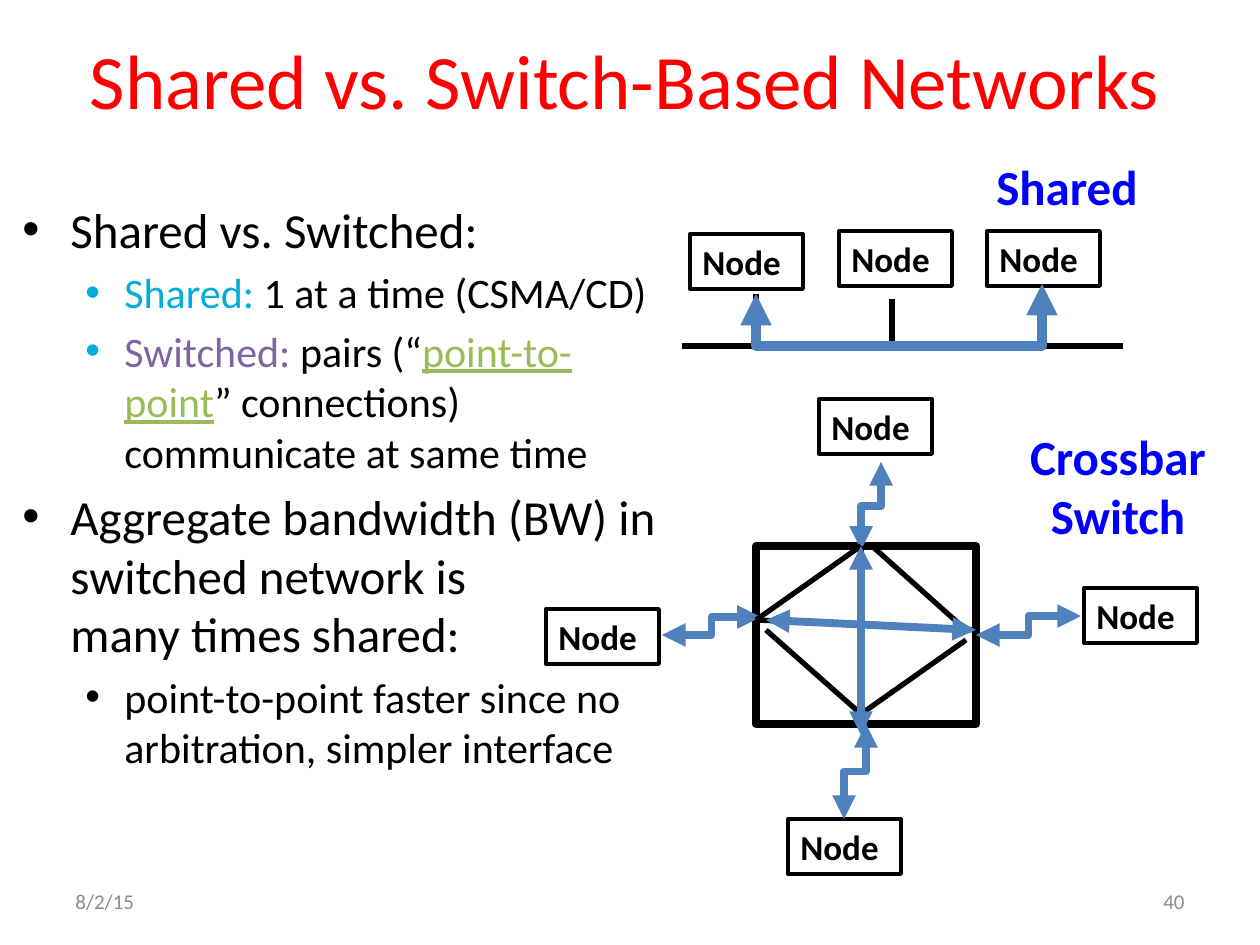
import pptx
import pptx.util
from pptx.dml.color import RGBColor
from pptx.enum.shapes import MSO_CONNECTOR, MSO_SHAPE
from pptx.enum.text import MSO_ANCHOR, MSO_AUTO_SIZE, PP_ALIGN
from pptx.oxml.ns import qn
from lxml import etree

THEME = {
    "font": "Calibri",
    "title": "FF0000", "label": "0000FF", "ink": "000000", "footer": "8C8C8C",
    "shared": "00ADDC", "switched": "8064A2", "link": "9BBB59", "arrow": "4F81BD",
    "title_size": 44, "label_size": 28, "node_size": 20, "footer_size": 12,
    "body_sizes": (28, 24),
    "node_line": 2.25, "wire": 3, "arrow_line": 4.5, "bus_arrow": 6,
}
SCALE = pptx.util.Inches(1) / 126

TITLE = "Shared vs. Switch-Based Networks"
BODY_BOX = (10, 193, 672, 626)
BODY = [
    (0, "ink", [("Shared vs. Switched:", "ink")]),
    (1, "shared", [("Shared: ", "shared"), ("1 at a time (CSMA/CD)", "ink")]),
    (1, "shared", [("Switched:", "switched"), (" pairs (“", "ink"),
                   ("point-to-point", "link"),
                   ("” connections) communicate at same time", "ink")]),
    (0, "ink", [("Aggregate bandwidth (BW) in switched network is\nmany times shared:", "ink")]),
    (1, "ink", [("point-to-point faster since no arbitration, simpler interface", "ink")]),
]
INDENTS = ((48, -48), (102, -39))

NODE_SIZE = (113, 55)
SHARED_NODES = [(690, 234), (839, 231), (987, 231)]
SWITCH_NODES = [(546, 609), (788, 819), (1084, 588), (819, 399)]
CROSSBAR = (756, 546, 220, 178)
BUS_WIRES = [(682, 346, 1123, 346), (1040, 294, 1040, 336),
             (892, 299, 892, 346), (756, 294, 756, 336)]
BUS_PATH = [(756, 294), (756, 346), (1042, 346), (1042, 284)]
SIDE_ELBOWS = [(1081, 616, 976, 635), (761, 617, 662, 635)]
UPRIGHT_ELBOWS = [(844, 819, 866, 724), (861, 550, 881, 462)]
SWITCH_WIRES = [(756, 620, 976, 630), (756, 620, 861, 546), (766, 630, 861, 714),
                (872, 546, 966, 630), (861, 714, 966, 640), (861, 546, 861, 714)]
SWITCH_ARROWS = [(766, 620, 976, 630), (861, 546, 861, 735)]
LABELS = [
    (["Shared"], (984, 150, 192, 72), "label", PP_ALIGN.LEFT, MSO_ANCHOR.TOP, True),
    (["Crossbar", "Switch"], (987, 420, 262, 131), "label", PP_ALIGN.CENTER, MSO_ANCHOR.TOP, True),
    (["8/2/15"], (63, 876, 294, 50), "footer", PP_ALIGN.LEFT, MSO_ANCHOR.MIDDLE, False),
    (["40"], (903, 876, 294, 50), "footer", PP_ALIGN.RIGHT, MSO_ANCHOR.MIDDLE, False),
]


def px(*lengths):
    return [round(length * SCALE) for length in lengths]


def colour(name):
    return RGBColor.from_string(THEME[name])


def style(font, size, name, bold=False):
    font.name = THEME["font"]
    font.size = pptx.util.Pt(size)
    font.bold = bold
    font.color.rgb = colour(name)


def draw_line(line, name, width, arrows=False):
    line.color.rgb = colour(name)
    line.width = pptx.util.Pt(THEME[width])
    if arrows:
        outline = line._get_or_add_ln()
        for end in ("a:headEnd", "a:tailEnd"):
            etree.SubElement(outline, qn(end), type="triangle")


def add_box(page, place, width):
    box = page.shapes.add_shape(MSO_SHAPE.RECTANGLE, *px(*place))
    box.shadow.inherit = False
    box.fill.background()
    draw_line(box.line, "ink", width)
    return box


def add_node(page, corner):
    frame = add_box(page, (*corner, *NODE_SIZE), "node_line").text_frame
    frame.word_wrap = True
    frame.vertical_anchor = MSO_ANCHOR.TOP
    para = frame.paragraphs[0]
    para.alignment = PP_ALIGN.LEFT
    para.text = "Node"
    style(para.font, THEME["node_size"], "ink", True)


def add_link(page, ends, name, width, arrows=False, kind=MSO_CONNECTOR.STRAIGHT):
    link = page.shapes.add_connector(kind, *px(*ends))
    draw_line(link.line, name, width, arrows)
    etree.SubElement(link._element.spPr, qn("a:effectLst"))
    return link


def add_upright_elbow(page, ends):
    x1, y1, x2, y2 = ends
    mid_x, mid_y = (x1 + x2) / 2, (y1 + y2) / 2
    half_w, half_h = (y2 - y1) / 2, (x1 - x2) / 2
    turned = (mid_x - half_w, mid_y - half_h, mid_x + half_w, mid_y + half_h)
    link = add_link(page, turned, "arrow", "arrow_line", True, MSO_CONNECTOR.ELBOW)
    link._element.spPr.find(qn("a:xfrm")).set("rot", "5400000")


def add_label(page, lines, place, kind, align, anchor, bold):
    frame = page.shapes.add_textbox(*px(*place)).text_frame
    frame.word_wrap = True
    frame.vertical_anchor = anchor
    for index, words in enumerate(lines):
        para = frame.add_paragraph() if index else frame.paragraphs[0]
        para.text = words
        para.alignment = align
        style(para.font, THEME[kind + "_size"], kind, bold)


def add_body(page):
    frame = page.shapes.add_textbox(*px(*BODY_BOX)).text_frame
    frame.word_wrap = True
    for index, (level, bullet, spans) in enumerate(BODY):
        para = frame.add_paragraph() if index else frame.paragraphs[0]
        para.level = level
        size = THEME["body_sizes"][level]
        props = para._p.get_or_add_pPr()
        margin, indent = px(*INDENTS[level])
        props.set("marL", str(margin))
        props.set("indent", str(indent))
        tint = etree.SubElement(props, qn("a:buClr"))
        etree.SubElement(tint, qn("a:srgbClr"), val=THEME[bullet])
        etree.SubElement(props, qn("a:buFont"), typeface="Arial")
        etree.SubElement(props, qn("a:buChar"), char="•")
        if index:
            para.space_before = pptx.util.Pt(size * 0.2)
        for words, name in spans:
            for part, piece in enumerate(words.split("\n")):
                if part:
                    para.add_line_break()
                span = para.add_run()
                span.text = piece
                style(span.font, size, name)
                if name == "link":
                    span.font.underline = True


def add_title(page):
    title = page.shapes.title
    title.left, title.top, title.width, title.height = px(53, 21, 1144, 116)
    frame = title.text_frame
    frame.auto_size = MSO_AUTO_SIZE.NONE
    frame.vertical_anchor = MSO_ANCHOR.MIDDLE
    para = frame.paragraphs[0]
    para.text = TITLE
    para.alignment = PP_ALIGN.CENTER
    style(para.font, THEME["title_size"], "title")


def add_shared_bus(page):
    for corner in SHARED_NODES:
        add_node(page, corner)
    for ends in BUS_WIRES:
        add_link(page, ends, "ink", "wire")
    builder = page.shapes.build_freeform(*BUS_PATH[0], scale=SCALE)
    builder.add_line_segments(BUS_PATH[1:], close=False)
    bracket = builder.convert_to_shape()
    bracket.shadow.inherit = False
    bracket.fill.background()
    draw_line(bracket.line, "arrow", "bus_arrow", True)


def add_switch(page):
    for corner in SWITCH_NODES:
        add_node(page, corner)
    add_box(page, CROSSBAR, "arrow_line")
    for ends in UPRIGHT_ELBOWS:
        add_upright_elbow(page, ends)
    for ends in SIDE_ELBOWS:
        add_link(page, ends, "arrow", "arrow_line", True, MSO_CONNECTOR.ELBOW)
    for ends in SWITCH_WIRES:
        add_link(page, ends, "ink", "wire")
    for ends in SWITCH_ARROWS:
        add_link(page, ends, "arrow", "arrow_line", True)


def main():
    deck = pptx.Presentation()
    deck.slide_width, deck.slide_height = px(1260, 945)
    page = deck.slides.add_slide(deck.slide_layouts[5])
    add_title(page)
    add_body(page)
    add_shared_bus(page)
    add_switch(page)
    for label in LABELS:
        add_label(page, *label)
    deck.save("out.pptx")


if __name__ == "__main__":
    main()
